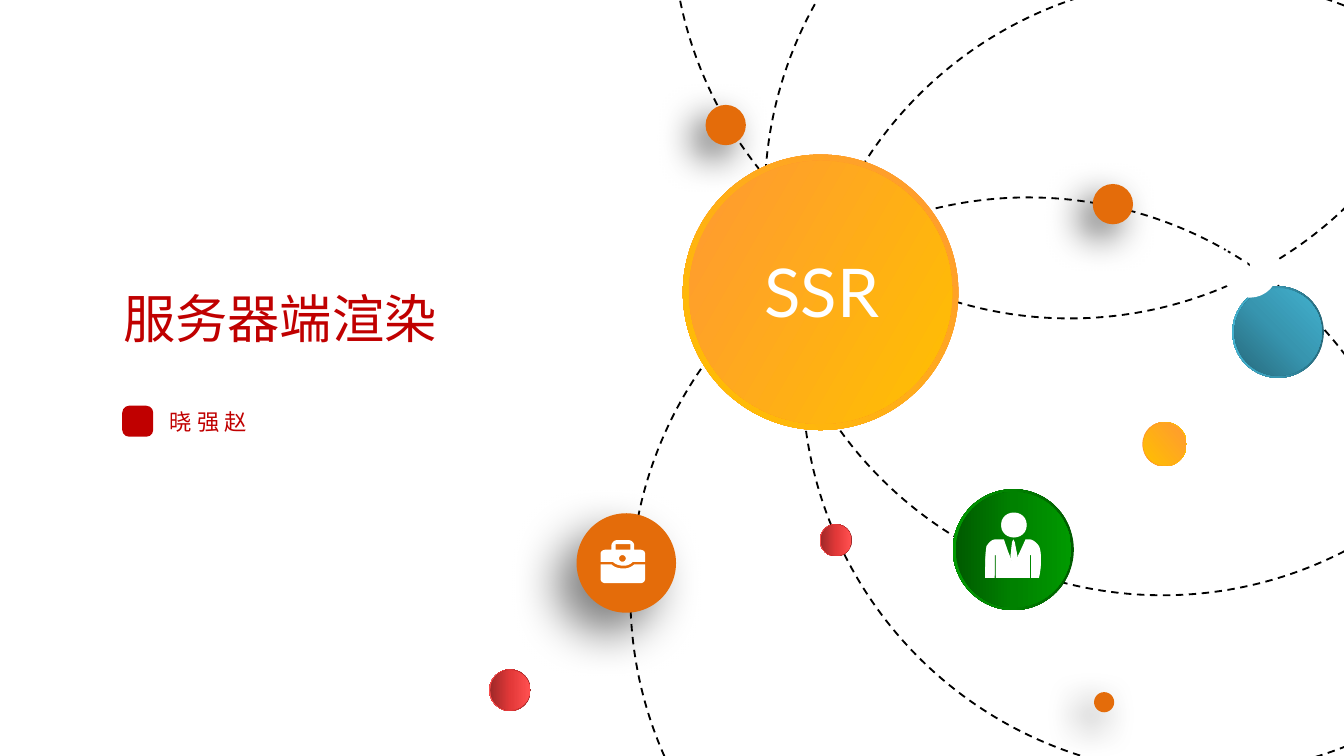
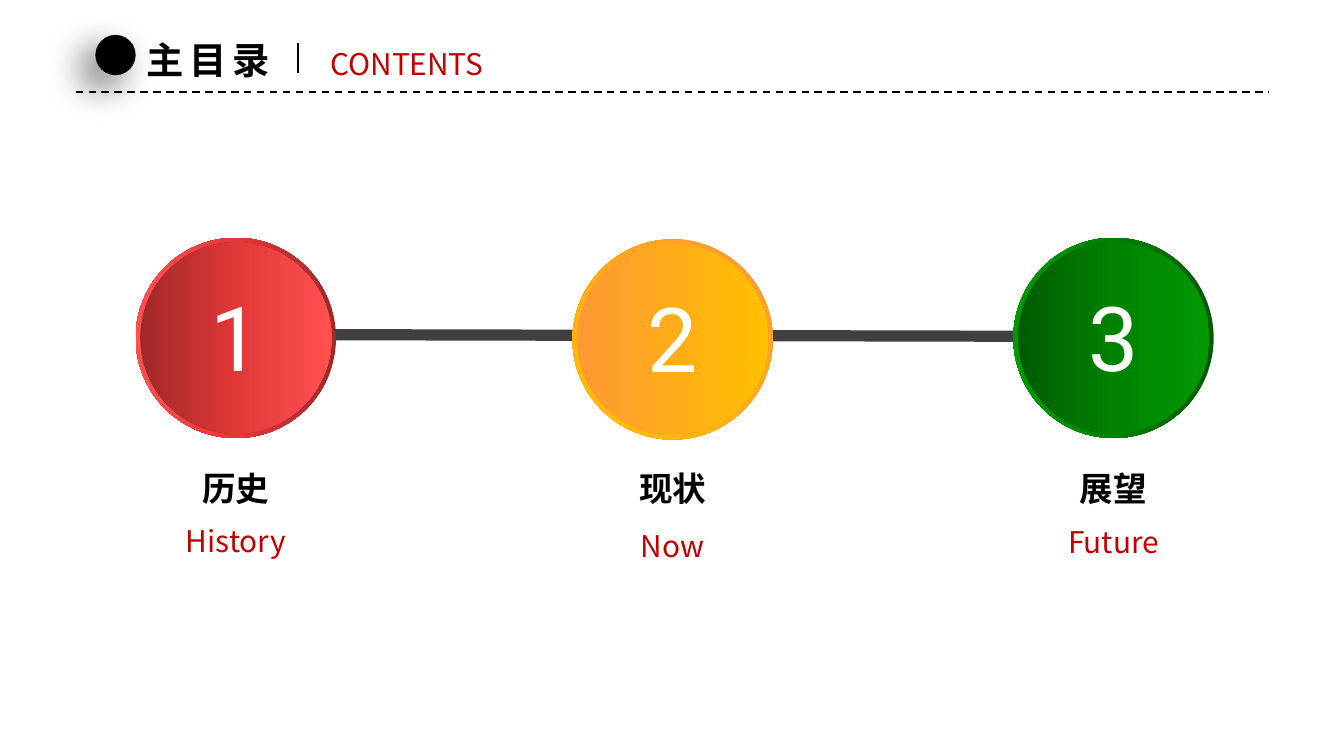
import math
from dataclasses import dataclass
from typing import NamedTuple

from lxml import etree
from pptx import Presentation
from pptx import util as u
from pptx.dml.color import RGBColor
from pptx.enum import dml, shapes, text
from pptx.oxml.ns import qn

Pt = u.Pt
SHAPE = shapes.MSO_SHAPE


@dataclass(frozen=True)
class Theme:
    black: str = "000000"
    white: str = "FFFFFF"
    red: str = "C00000"
    orange: str = "E46C0A"
    grey: str = "404040"
    amber_blend: tuple = ("FF9933", "FFC000")
    teal_blend: tuple = ("27697B", "3795AF", "42B1CF")
    red_blend: tuple = ("9F2828", "E23838", "FF5050")
    green_blend: tuple = ("005B00", "008100", "009900")
    chinese: str = "Noto Sans CJK SC"
    english: str = "Noto Sans CJK JP"
    hub: str = "Lato"
    digit: str = "Roboto"
    number_size: int = 48
    hub_size: int = 36
    title_size: int = 28
    heading_size: int = 20
    label_size: int = 18
    caption_size: int = 16
    author_size: int = 12


THEME = Theme()


class Area(NamedTuple):
    left: float
    top: float
    width: float
    height: float


class Shadow(NamedTuple):
    alpha: int
    blur: float
    distance: float


class Dot(NamedTuple):
    left: float
    top: float
    size: float
    color: str = THEME.orange
    shadow: Shadow = Shadow(60, 20, 10)


class Orb(NamedTuple):
    left: float
    top: float
    size: float
    blend: tuple
    rim_angle: int = 180
    face_angle: int = 0


class Style(NamedTuple):
    font: str
    size: int
    color: str
    bold: bool = False
    spacing: int = 0
    centred: bool = False
    wrap: bool = True


class Chapter(NamedTuple):
    orb: Orb
    number: str
    label: str
    caption: str
    caption_top: float


# Text styles
HUB = Style(THEME.hub, THEME.hub_size, THEME.white, centred=True)
TITLE = Style(THEME.chinese, THEME.title_size, THEME.red)
AUTHOR = Style(THEME.chinese, THEME.author_size, THEME.red, spacing=3, wrap=False)
HEADING = Style(THEME.chinese, THEME.heading_size, THEME.black, True, 3, wrap=False)
SUBHEADING = Style(THEME.english, THEME.caption_size, THEME.red, wrap=False)
NUMBER = Style(THEME.digit, THEME.number_size, THEME.white, centred=True)
LABEL = Style(THEME.chinese, THEME.label_size, THEME.black, True, centred=True)
CAPTION = Style(THEME.english, THEME.caption_size, THEME.red, centred=True)

# Cover layout
ORBIT_SIZE = 426.2
ORBITS = [(337.7, 105.8), (409.7, -107.3), (429.8, -11.5), (360, -255.6)]
DOTS = [
    Dot(308.9, 275, 53.3, shadow=Shadow(50, 25, 15)),
    Dot(378, 56.2, 21.6),
    Dot(585.4, 98.6, 21.6),
    Dot(586.1, 370.8, 10.8),
]
ORBS = [
    Orb(365.8, 82.8, 147.6, THEME.amber_blend, 140, 30),
    Orb(612, 226.1, 23.8, THEME.amber_blend, 0, 140),
    Orb(660.2, 153.4, 49, THEME.teal_blend, 180, 315),
    Orb(439.2, 280.8, 17.3, THEME.red_blend),
    Orb(262.1, 358.6, 22.3, THEME.red_blend),
    Orb(510.5, 262.1, 64.8, THEME.green_blend),
]

# Contents layout
CHAPTER_SIZE = 107.3
CHAPTERS = [
    Chapter(Orb(72.7, 127.4, CHAPTER_SIZE, THEME.red_blend), "1", "历史", "History", 276.5),
    Chapter(Orb(306.7, 128.2, CHAPTER_SIZE, THEME.amber_blend, 130), "2", "现状", "Now", 279.4),
    Chapter(Orb(542.9, 127.4, CHAPTER_SIZE, THEME.green_blend), "3", "展望", "Future", 277.2),
]


def arc(x: float, y: float, rx: float, ry: float, start: int, end: int) -> list:
    """Points of an elliptical arc; angles run clockwise."""
    turns = [math.radians(start + (end - start) * i / 24) for i in range(25)]
    return [(x + rx * math.cos(t), y + ry * math.sin(t)) for t in turns]


def trace(steps: list) -> list:
    """Turn steps into points: pairs are corners, sixes are Bezier curves."""
    points = []
    for step in steps:
        if len(step) == 2:
            points.append(step)
            continue
        knots = [points[-1], step[:2], step[2:4], step[4:]]
        for i in range(1, 9):
            t = i / 8
            weights = ((1 - t) ** 3, 3 * t * (1 - t) ** 2, 3 * t * t * (1 - t), t ** 3)
            points.append(tuple(sum(w * k[axis] for w, k in zip(weights, knots)) for axis in (0, 1)))
    return points


# Icon outlines
CASE_BASE = trace([
    (321.8, 302.4), (327.6, 302.4), (329, 303.8, 331.2, 304.6, 334.1, 304.6),
    (336.2, 304.6, 338.4, 303.8, 339.8, 302.4), (345.6, 302.4), (345.6, 310.3),
    (345.6, 311.8, 344.2, 312.5, 342.7, 312.5), (324.7, 312.5),
    (323.3, 312.5, 321.8, 311.8, 321.8, 310.3),
])
CASE_LID = trace([
    (342.7, 294.5), (339.8, 294.5), (339.8, 292.3), (339.8, 290.9, 338.4, 289.4, 337, 289.4),
    (330.5, 289.4), (329, 289.4, 327.6, 290.9, 327.6, 292.3), (327.6, 294.5), (324.7, 294.5),
    (323.3, 294.5, 321.8, 295.2, 321.8, 296.6), (321.8, 301), (328.3, 301),
    (329.8, 302.4, 331.9, 303.1, 334.1, 303.1), (336.2, 303.1, 337.7, 302.4, 339.1, 301),
    (345.6, 301), (345.6, 296.6), (345.6, 295.2, 344.2, 294.5, 342.7, 294.5),
])
CASE_HANDLE = [(329.8, 291.6), (337.7, 291.6), (337.7, 294.5), (329.8, 294.5)]
CASE_LOCK = arc(333.5, 299.2, 1.8, 1.8, 0, 360)
PERSON_HEAD = arc(543.2, 281.9, 6.8, 6.1, 0, 360)
PERSON_BODY = trace([
    (551.5, 290.2), (549.4, 290.2), (546.5, 296.6), (542.9, 303.8), (545, 298.8),
    (543.6, 291.6), (542.9, 290.2), (542.2, 291.6), (541.4, 298.8), (542.9, 303.8),
    (540, 296.6), (537.8, 290.2), (533.5, 290.2), (531.4, 290.2, 529.9, 291.6, 528.5, 293.8),
    (527.8, 296.6, 527.8, 303.8, 527.8, 309.6), (532.8, 309.6), (532.8, 297.4),
    (533.5, 297.4), (533.5, 309.6), (551.7, 309.6), (551.7, 297.4), (552.4, 297.4),
    (552.4, 309.6), (556.6, 309.6), (558, 303.8, 558, 296.6, 556.6, 293.8),
    (555.1, 291.6, 553, 290.2, 551.5, 290.2),
])
PIE_BODY = [(669.6, 144.4)] + arc(669.6, 144.4, 15.1, 15.1, 180, -90)
PIE_SLICE = [(668.2, 142.6)] + arc(668.2, 142.6, 14.4, 14.4, 180, 270)
PIE_HOLE = [(666.7, 141.1)] + arc(666.7, 141.1, 10.8, 11.5, 180, 270)


# Drawing tools
def paint(shape, color: str) -> None:
    shape.shadow.inherit = False
    shape.line.fill.background()
    shape.fill.solid()
    shape.fill.fore_color.rgb = RGBColor.from_string(color)


def blend(shape, colors: tuple, angle: int) -> None:
    shape.shadow.inherit = False
    shape.line.fill.background()
    shape.fill.gradient()
    shape.fill.gradient_angle = -angle % 360
    stops = shape._element.spPr.find(qn("a:gradFill")).find(qn("a:gsLst"))
    for stop in list(stops):
        stops.remove(stop)
    for i, color in enumerate(colors):
        stop = etree.SubElement(stops, qn("a:gs"), pos=str(100000 * i // (len(colors) - 1)))
        etree.SubElement(stop, qn("a:srgbClr"), val=color)


def stroke(line, color: str, width: float, dashed: bool = False) -> None:
    line.color.rgb = RGBColor.from_string(color)
    line.width = Pt(width)
    if dashed:
        line.dash_style = dml.MSO_LINE.DASH


def add_preset(page, kind, area: Area):
    return page.shapes.add_shape(kind, *map(Pt, area))


def add_dot(page, dot: Dot) -> None:
    shape = add_preset(page, SHAPE.OVAL, Area(dot.left, dot.top, dot.size, dot.size))
    paint(shape, dot.color)
    effects = shape._element.spPr.find(qn("a:effectLst"))
    outer = etree.SubElement(
        effects, qn("a:outerShdw"), blurRad=str(Pt(dot.shadow.blur)),
        dist=str(Pt(dot.shadow.distance)), dir=str(135 * 60000), algn="tr", rotWithShape="0")
    tint = etree.SubElement(outer, qn("a:srgbClr"), val=THEME.black)
    etree.SubElement(tint, qn("a:alpha"), val=str(dot.shadow.alpha * 1000))


def add_orb(page, orb: Orb) -> None:
    rim = add_preset(page, SHAPE.DONUT, Area(orb.left, orb.top, orb.size, orb.size))
    rim.adjustments[0] = 0.049
    blend(rim, orb.blend, orb.rim_angle)
    size = orb.size * 0.955
    inset = (orb.size - size) / 2
    face = add_preset(page, SHAPE.OVAL, Area(orb.left + inset, orb.top + inset, size, size))
    blend(face, orb.blend, orb.face_angle)


def add_outline(page, *contours: list, shift: float = 0) -> None:
    builder = None
    for contour in contours:
        points = [(Pt(x), Pt(y + shift)) for x, y in contour]
        if builder is None:
            builder = page.shapes.build_freeform(*points[0])
        else:
            builder.move_to(*points[0])
        builder.add_line_segments(points[1:], close=True)
    paint(builder.convert_to_shape(), THEME.white)


def add_line(page, start: tuple, end: tuple, color: str, width: float, dashed: bool = False) -> None:
    line = page.shapes.add_connector(shapes.MSO_CONNECTOR.STRAIGHT, *map(Pt, start + end))
    stroke(line.line, color, width, dashed)
    etree.SubElement(line._element.spPr, qn("a:effectLst"))


def add_text(page, words: str, area: Area, style: Style) -> None:
    box = page.shapes.add_textbox(*map(Pt, area))
    box.text_frame.word_wrap = style.wrap
    box.text_frame.auto_size = text.MSO_AUTO_SIZE.SHAPE_TO_FIT_TEXT
    para = box.text_frame.paragraphs[0]
    para.alignment = text.PP_ALIGN.CENTER if style.centred else text.PP_ALIGN.LEFT
    span = para.add_run()
    span.text = words
    span.font.color.rgb = RGBColor.from_string(style.color)
    formats = {"name": style.font, "size": Pt(style.size), "bold": style.bold}
    for key, value in formats.items():
        setattr(span.font, key, value)
    props = span._r.get_or_add_rPr()
    etree.SubElement(props, qn("a:ea"), typeface=style.font)
    if style.spacing:
        props.set("spc", str(style.spacing * 100))


# Slides
def build_cover(page) -> None:
    for left, top in ORBITS:
        orbit = add_preset(page, SHAPE.OVAL, Area(left, top, ORBIT_SIZE, ORBIT_SIZE))
        orbit.shadow.inherit = False
        orbit.fill.background()
        stroke(orbit.line, THEME.black, 1, dashed=True)
    for dot in DOTS:
        add_dot(page, dot)
    for orb in ORBS:
        add_orb(page, orb)
    add_text(page, "SSR", Area(372.2, 130.3, 136.1, 51.1), HUB)
    add_text(page, "服务器端渲染", Area(59, 149.8, 303.1, 41), TITLE)
    add_text(page, "晓强赵", Area(83.5, 215.3, 59.8, 21.6), AUTHOR)
    badge = add_preset(page, SHAPE.ROUNDED_RECTANGLE, Area(65.5, 217.4, 16.6, 16.6))
    badge.adjustments[0] = 0.225
    paint(badge, THEME.red)
    add_outline(page, CASE_BASE)
    add_outline(page, CASE_LID, CASE_HANDLE, CASE_LOCK)
    for shift in (0, -1.2):
        add_outline(page, PERSON_HEAD, shift=shift)
        add_outline(page, PERSON_BODY, shift=shift)
    add_outline(page, PIE_BODY)
    add_outline(page, PIE_SLICE, PIE_HOLE)


def build_contents(page) -> None:
    add_line(page, (125.3, 179.2), (573.1, 180.2), THEME.grey, 6)
    # Heading band
    add_line(page, (40.5, 49.1), (679.5, 49.1), THEME.black, 1, dashed=True)
    add_dot(page, Dot(51.1, 18.7, 21.6, THEME.black))
    add_text(page, "主目录", Area(71.3, 16.6, 84.2, 31.7), HEADING)
    add_text(page, "CONTENTS", Area(169.9, 20.9, 102.2, 26.6), SUBHEADING)
    add_line(page, (159.6, 22.8), (159.6, 38.9), THEME.black, 1.5)
    # Chapters
    for chapter in CHAPTERS:
        orb = chapter.orb
        add_orb(page, orb)
        add_text(page, chapter.number, Area(orb.left, orb.top + 20, orb.size, 65.5), NUMBER)
        add_text(page, chapter.label, Area(orb.left, 247, orb.size, 28.8), LABEL)
        add_text(page, chapter.caption, Area(orb.left, chapter.caption_top, orb.size, 26.6), CAPTION)


def main() -> None:
    deck = Presentation()
    deck.slide_width, deck.slide_height = Pt(720), Pt(405)
    for build in (build_cover, build_contents):
        build(deck.slides.add_slide(deck.slide_layouts[6]))
    deck.save("out.pptx")


if __name__ == "__main__":
    main()
